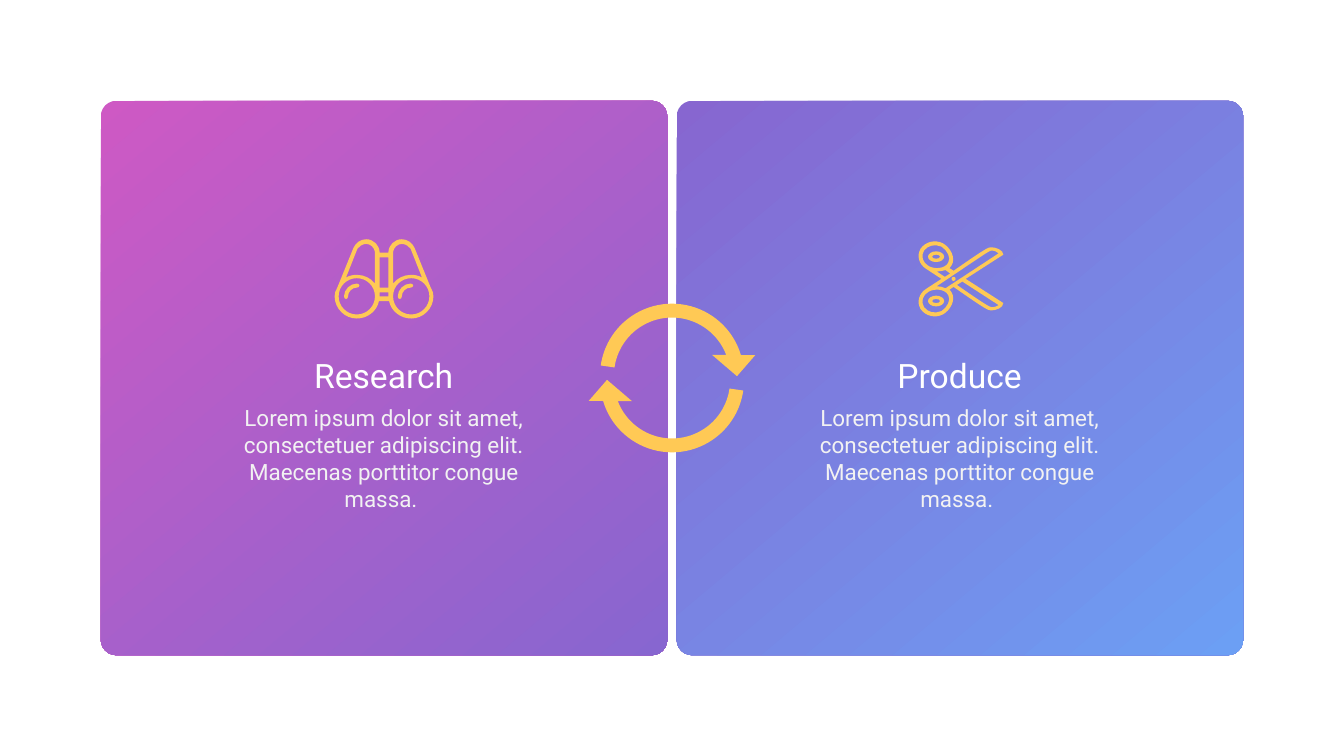
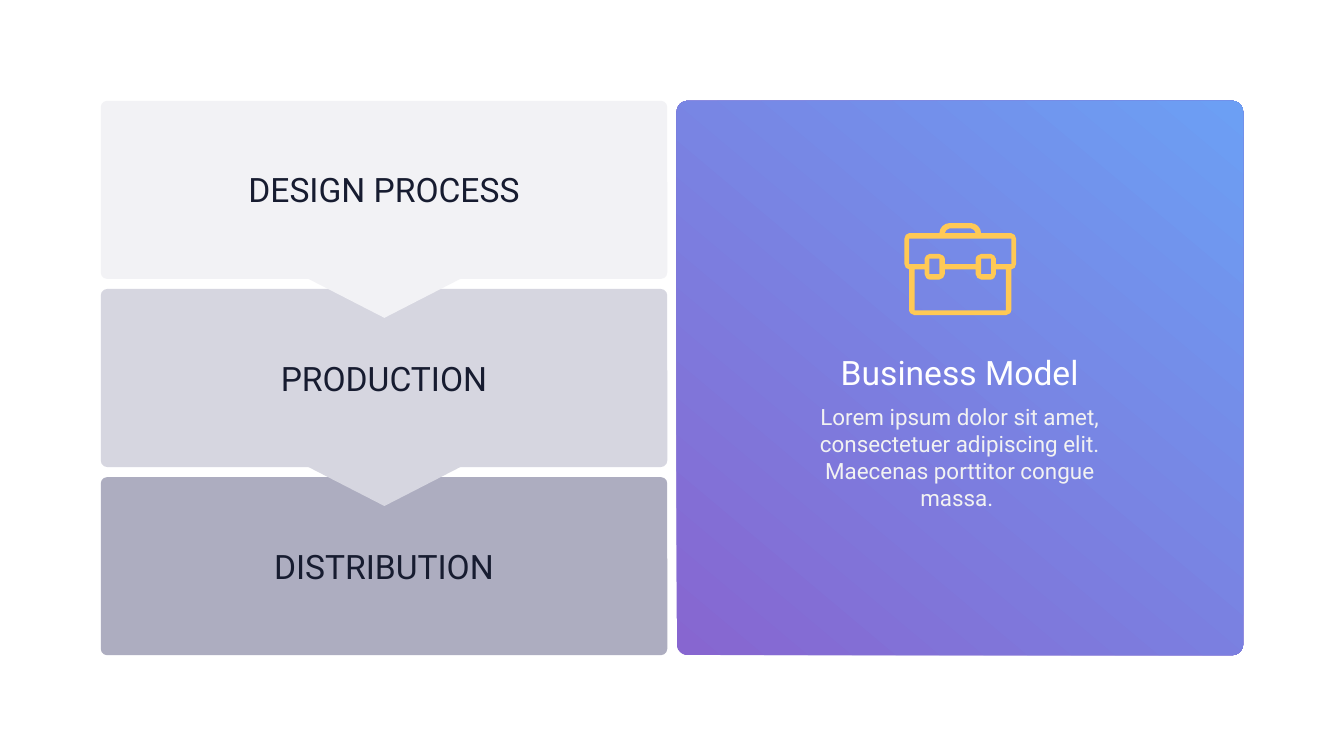
from dataclasses import dataclass
from typing import NamedTuple

from pptx import Presentation
from pptx.dml.color import RGBColor
from pptx.enum.shapes import MSO_SHAPE
from pptx.enum.text import MSO_AUTO_SIZE, PP_ALIGN
from pptx.oxml.ns import qn
from pptx.oxml.xmlchemy import OxmlElement
from pptx.shapes.autoshape import Shape
from pptx.slide import Slide
from pptx.util import Pt

PX = 9144

COLORS = {
    "white": "FFFFFF",
    "body": "F2F2F2",
    "ink": "171C30",
    "accent": "FFC955",
    "pink": "CE59C4",
    "purple": "8766D0",
    "blue": "6C9FF4",
    "light": "F2F2F5",
    "middle": "D6D6E0",
    "dark": "ADADC0",
}
FORMATS = {
    "heading": {"name": "Roboto", "size": Pt(36)},
    "body": {"name": "Roboto", "size": Pt(24)},
}
FRAME = {"word_wrap": True, "auto_size": MSO_AUTO_SIZE.SHAPE_TO_FIT_TEXT}
LOREM = "Lorem ipsum dolor sit amet, consectetuer adipiscing elit. Maecenas porttitor congue massa. "

LEFT, RIGHT, TOP = 150, 1007, 150
PANEL_W, PANEL_H = 843, 825
STEP_H, STEP_PITCH = 265, 280
CAPTION_INSET, CAPTION_W = 192, 458


class Node(NamedTuple):
    x: int
    y: int
    control: bool = False


Contour = list[Node]


@dataclass
class Panel:
    left: int
    title: str
    icon: list[Contour]
    start: str
    end: str
    angle: int = 310
    corner: float = 0.028
    title_top: int = 523
    body_top: int = 597


@dataclass
class Step:
    title: str
    color: str


def rgb(name: str) -> RGBColor:
    return RGBColor.from_string(COLORS[name])


def trace(*moves: tuple[int, ...]) -> Contour:
    return [Node(m[i], m[i + 1], i + 2 < len(m)) for m in moves for i in range(0, len(m), 2)]


def rect(left: int, top: int, right: int, bottom: int) -> Contour:
    return trace((left, top), (right, top), (right, bottom), (left, bottom))


def ellipse(cx: int, cy: int, rx: int, ry: int) -> Contour:
    kx, ky = round(0.55 * rx), round(0.55 * ry)
    return trace(
        (cx, cy - ry),
        (cx + kx, cy - ry, cx + rx, cy - ky, cx + rx, cy),
        (cx + rx, cy + ky, cx + kx, cy + ry, cx, cy + ry),
        (cx - kx, cy + ry, cx - rx, cy + ky, cx - rx, cy),
        (cx - rx, cy - ky, cx - kx, cy - ry, cx, cy - ry))


def flip(contour: Contour, x_sum: int = 0, y_sum: int = 0) -> Contour:
    return [Node(x_sum - n.x if x_sum else n.x, y_sum - n.y if y_sum else n.y, n.control)
            for n in contour]


def whole(half: Contour, **axis: int) -> Contour:
    return half + flip(half, **axis)[::-1]


def both(contours: list[Contour], **axis: int) -> list[Contour]:
    return contours + [flip(c, **axis) for c in contours]


def binoculars() -> list[Contour]:
    axis = {"x_sum": 1143}
    outline = trace(
        (565, 376), (565, 365, 556, 356, 545, 356), (536, 356, 529, 362, 526, 369),
        (502, 428), (499, 432, 498, 437, 498, 441), (498, 459, 513, 474, 531, 474),
        (547, 474, 561, 463, 564, 448))
    barrel = trace(
        (558, 422), (552, 414, 542, 409, 531, 409), (526, 409, 520, 410, 515, 413),
        (532, 370), (535, 366, 540, 363, 545, 363), (551, 363, 557, 368, 558, 375))
    glint = trace(
        (531, 422), (521, 422, 512, 431, 512, 441), (512, 443, 513, 445, 515, 445),
        (517, 445, 518, 443, 518, 441), (518, 434, 524, 428, 531, 428),
        (533, 428, 535, 427, 535, 425), (535, 423, 533, 422, 531, 422))
    return [
        whole(outline, **axis),
        *both([barrel, ellipse(531, 441, 27, 27)], **axis),
        glint,
        [n._replace(x=n.x + 80) for n in glint],
        rect(565, 383, 578, 428),
        rect(565, 435, 578, 441),
    ]


def scissors() -> list[Contour]:
    axis = {"y_sum": 830}
    outline = trace(
        (1401, 415), (1378, 400), (1367, 393, 1364, 380, 1370, 370),
        (1377, 360, 1391, 356, 1403, 362), (1414, 368, 1423, 384, 1416, 395),
        (1413, 399), (1419, 403), (1469, 368, 1471, 368, 1475, 368),
        (1482, 368, 1493, 372, 1493, 379), (1437, 415))
    loop = trace(
        (1382, 396), (1373, 391, 1370, 381, 1375, 373), (1381, 365, 1391, 363, 1401, 367),
        (1409, 372, 1416, 384, 1411, 391), (1406, 400, 1391, 401, 1382, 396))
    return [
        whole(outline, **axis),
        *both([loop, ellipse(1393, 382, 12, 8), ellipse(1393, 382, 6, 3)], **axis),
        trace((1394, 404), (1398, 404, 1403, 403, 1407, 402), (1414, 407), (1406, 412)),
        trace((1407, 429), (1403, 427, 1398, 426, 1394, 426),
              (1461, 381, 1472, 373, 1475, 373), (1475, 373, 1480, 372, 1486, 377)),
        trace((1486, 454), (1480, 458, 1475, 457, 1475, 457),
              (1473, 457, 1464, 452, 1424, 424), (1432, 419)),
        ellipse(1419, 415, 3, 3),
    ]


def briefcase() -> list[Contour]:
    axis = {"x_sum": 2858}
    halves = [
        trace((1413, 332), (1405, 332, 1398, 339, 1398, 347), (1353, 347),
              (1349, 347, 1346, 351, 1346, 355), (1346, 393),
              (1346, 397, 1349, 401, 1353, 401), (1353, 462),
              (1353, 465, 1357, 469, 1361, 469)),
        trace((1413, 340), (1410, 340, 1406, 344, 1406, 347)),
        trace((1361, 462), (1361, 401), (1376, 401), (1376, 408),
              (1376, 412, 1380, 416, 1383, 416), (1398, 416),
              (1402, 416, 1406, 412, 1406, 408), (1406, 401)),
        trace((1353, 355), (1353, 393), (1376, 393), (1376, 385),
              (1376, 382, 1380, 378, 1383, 378), (1398, 378),
              (1402, 378, 1406, 382, 1406, 385), (1406, 393)),
    ]
    return [whole(h, **axis) for h in halves] + both([rect(1383, 385, 1398, 408)], **axis)


def finish(sp: Shape, color: str) -> Shape:
    sp.shadow.inherit = False
    sp.line.fill.background()
    sp.fill.solid()
    sp.fill.fore_color.rgb = rgb(color)
    return sp


def add_preset(s: Slide, kind: MSO_SHAPE, box: tuple[int, int, int, int], color: str,
               adjustments: tuple[float, ...] = (), rotation: int = 0) -> Shape:
    sp = finish(s.shapes.add_shape(kind, *(v * PX for v in box)), color)
    sp.rotation = rotation
    for i, value in enumerate(adjustments):
        sp.adjustments[i] = value
    return sp


def add_text(s: Slide, text: str, box: tuple[int, int, int, int], style: str, color: str) -> None:
    tf = s.shapes.add_textbox(*(v * PX for v in box)).text_frame
    for key, value in FRAME.items():
        setattr(tf, key, value)
    p = tf.paragraphs[0]
    p.alignment = PP_ALIGN.CENTER
    r = p.add_run()
    r.text = text
    for key, value in FORMATS[style].items():
        setattr(r.font, key, value)
    r.font.color.rgb = rgb(color)


def bend(sp: Shape, nodes: Contour) -> None:
    group = []
    for segment, node in zip(list(sp.element.iter(qn("a:lnTo"))), nodes):
        group.append(segment)
        if node.control:
            continue
        if len(group) == 3:
            curve = OxmlElement("a:cubicBezTo")
            group[0].addprevious(curve)
            for part in group:
                curve.append(part[0])
                part.getparent().remove(part)
        group = []


def add_icon(s: Slide, contours: list[Contour]) -> None:
    first = contours[0][0]
    builder = s.shapes.build_freeform(first.x, first.y, scale=PX)
    for i, contour in enumerate(contours):
        if i:
            builder.move_to(contour[0].x, contour[0].y)
        builder.add_line_segments([(n.x, n.y) for n in contour[1:]], close=True)
    sp = finish(builder.convert_to_shape(), "accent")
    bend(sp, [n for contour in contours for n in contour[1:]])


def add_panel(s: Slide, panel: Panel) -> None:
    sp = add_preset(s, MSO_SHAPE.ROUNDED_RECTANGLE, (panel.left, TOP, PANEL_W, PANEL_H),
                    panel.start, (panel.corner,))
    sp.fill.gradient()
    sp.fill.gradient_angle = panel.angle
    for stop, position, color in zip(sp.fill.gradient_stops, (0, 1), (panel.start, panel.end)):
        stop.position = position
        stop.color.rgb = rgb(color)


def add_caption(s: Slide, panel: Panel) -> None:
    left = panel.left + CAPTION_INSET
    add_text(s, panel.title, (left, panel.title_top, CAPTION_W, 71), "heading", "white")
    add_text(s, LOREM, (left, panel.body_top, CAPTION_W, 172), "body", "body")
    add_icon(s, panel.icon)


def add_cycle_slide(prs: Presentation) -> None:
    s = prs.slides.add_slide(prs.slide_layouts[6])
    panels = [Panel(LEFT, "Research", binoculars(), "pink", "purple"),
              Panel(RIGHT, "Produce", scissors(), "purple", "blue")]
    for panel in reversed(panels):
        add_panel(s, panel)
    for panel in panels:
        add_caption(s, panel)
    for top, rotation in ((437, 180), (430, 0)):
        add_preset(s, MSO_SHAPE.CIRCULAR_ARROW, (871, top, 258, 258), "accent",
                   (0.08, 11.42, 204.86, 112.87, 0.125), rotation)


def add_steps_slide(prs: Presentation) -> None:
    s = prs.slides.add_slide(prs.slide_layouts[6])
    steps = [Step("DESIGN PROCESS", "light"), Step("PRODUCTION", "middle"),
             Step("DISTRIBUTION", "dark")]
    tops = [TOP + i * STEP_PITCH for i in range(len(steps))]
    panel = Panel(RIGHT, "Business Model", briefcase(), "purple", "blue",
                  angle=50, corner=0.02, title_top=519, body_top=595)
    for step, top in zip(steps, tops):
        add_preset(s, MSO_SHAPE.ROUNDED_RECTANGLE, (LEFT, top, PANEL_W, STEP_H),
                   step.color, (0.036,))
    add_panel(s, panel)
    for step, top in zip(steps, tops):
        add_text(s, step.title, (258, top + 97, 627, 71), "heading", "ink")
    add_caption(s, panel)
    for step, top in zip(steps[:-1], tops):
        add_preset(s, MSO_SHAPE.ISOSCELES_TRIANGLE, (459, top + STEP_H, 226, 58),
                   step.color, rotation=180)


def main() -> None:
    prs = Presentation()
    prs.slide_width, prs.slide_height = 2000 * PX, 1125 * PX
    add_cycle_slide(prs)
    add_steps_slide(prs)
    prs.save("out.pptx")


if __name__ == "__main__":
    main()
